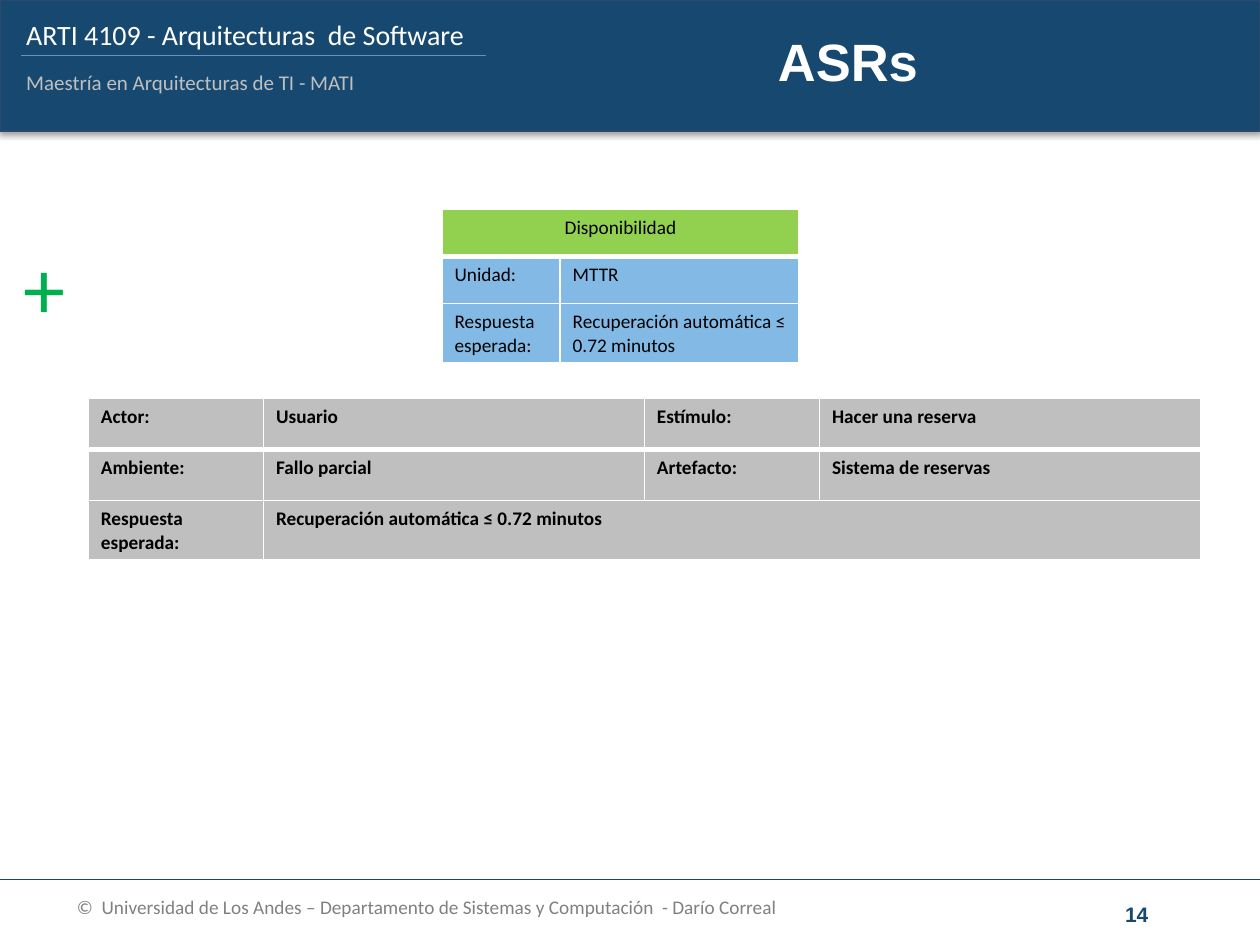
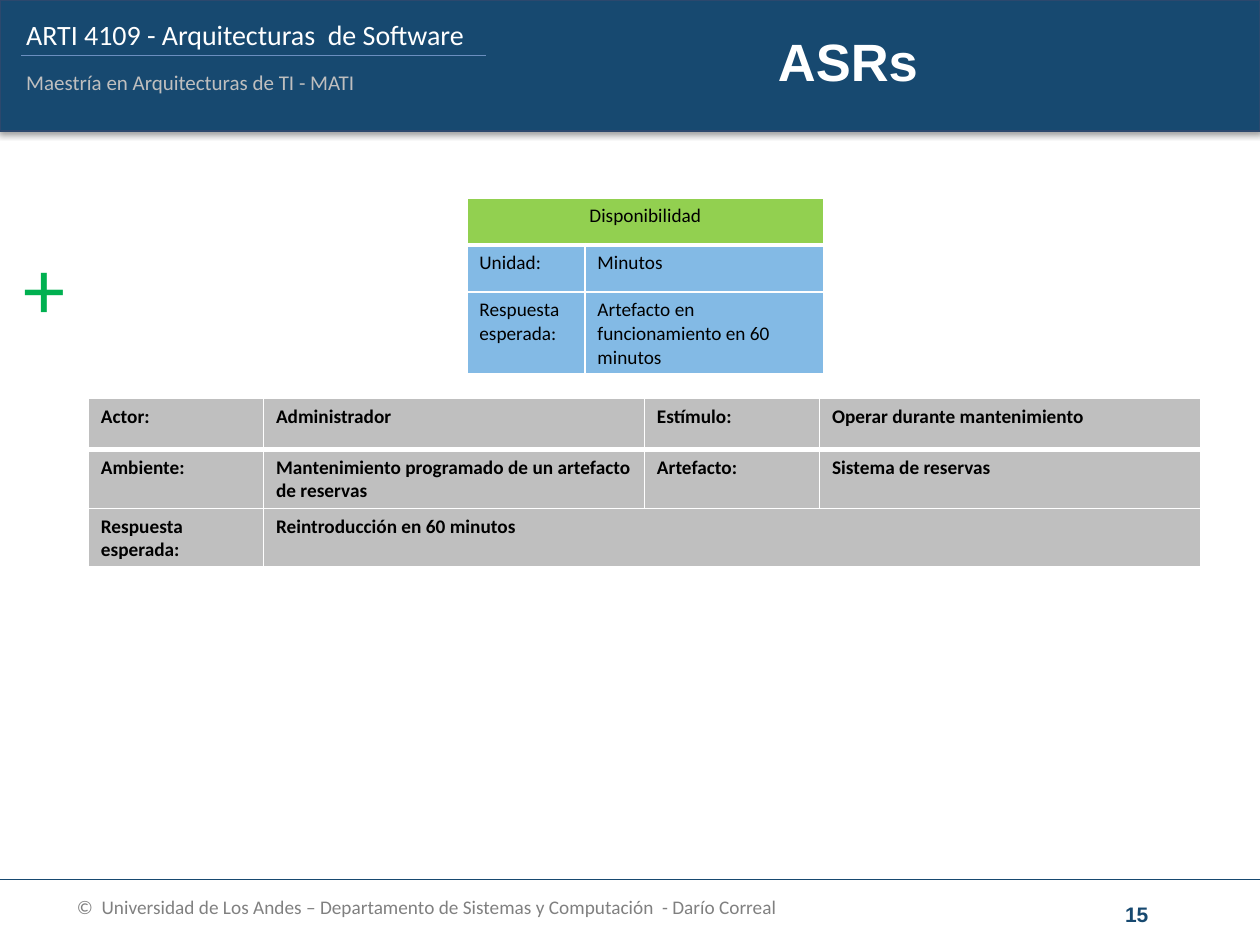
from lxml import etree
from pptx import Presentation
from pptx.dml.color import RGBColor
from pptx.enum import shapes, text
from pptx.oxml import parse_xml
from pptx.oxml.ns import nsdecls, qn
from pptx.util import Cm, Pt

NAVY, BAND_EDGE, RULE = "174970", "2C486D", "6B8FC0"
WHITE, BLACK, SILVER, GREY = "FFFFFF", "000000", "BFBFBF", "808080"
LIME, SKY, GREEN = "92D050", "83BAE5", "00B050"
WIDTH, HEIGHT = 25.4, 19.05

SHADOW = (
    f'<a:effectLst {nsdecls("a")}><a:outerShdw blurRad="39370" dist="22860" '
    'dir="5400000" rotWithShape="0"><a:srgbClr val="000000">'
    '<a:alpha val="35000"/></a:srgbClr></a:outerShdw></a:effectLst>'
)


def colour(code):
    return RGBColor.from_string(code)


def style_text(frame, size, code, font="Calibri", bold=False, align=None):
    for para in frame.paragraphs:
        para.alignment = align
        for span in para.runs:
            span.font.name = font
            span.font.size = Pt(size)
            span.font.bold = bold
            span.font.color.rgb = colour(code)


def add_text(page, area, words, size, code, wrap=True, middle=False, **style):
    box = page.shapes.add_textbox(*map(Cm, area))
    frame = box.text_frame
    frame.word_wrap = wrap
    if middle:
        frame.vertical_anchor = text.MSO_ANCHOR.MIDDLE
    frame.text = words
    style_text(frame, size, code, **style)


def add_rule(page, left, right, top, code, weight):
    rule = page.shapes.add_connector(
        shapes.MSO_CONNECTOR.STRAIGHT, Cm(left), Cm(top), Cm(right), Cm(top))
    rule.line.color.rgb = colour(code)
    rule.line.width = Pt(weight)
    etree.SubElement(rule.element.spPr, qn("a:effectLst"))


# Header band with course name and slide title
def add_header(page, title_words, left=0, top=0):
    band = page.shapes.add_shape(
        shapes.MSO_SHAPE.RECTANGLE, Cm(left), Cm(top), Cm(WIDTH), Cm(2.64))
    band.fill.solid()
    band.fill.fore_color.rgb = colour(NAVY)
    band.line.color.rgb = colour(BAND_EDGE)
    band.line.width = Pt(0.75)
    band.element.spPr.append(parse_xml(SHADOW))

    add_text(page, (left + 0.28, top + 0.23, 11.76, 0.94),
             "ARTI 4109 - Arquitecturas  de Software", 16, WHITE)
    add_text(page, (left + 0.28, top + 1.27, 7.24, 0.76),
             "Maestría en Arquitecturas de TI - MATI", 12, SILVER, wrap=False)
    add_rule(page, left + 0.43, left + 9.8, top + 1.12, RULE, 1)

    title = page.shapes.title
    title.left, title.top = Cm(left + 12.5), Cm(top + 0.53)
    title.width, title.height = Cm(9.19), Cm(1.4)
    title.text_frame.text = title_words
    title.text_frame.vertical_anchor = text.MSO_ANCHOR.MIDDLE
    style_text(title.text_frame, 30, WHITE, "Arial", True, text.PP_ALIGN.CENTER)
    # Bring the title in front of the band
    title.element.getparent().append(title.element)


# Footer with rule, slide number and copyright
def add_footer(page, number, left=0, top=17.73):
    add_rule(page, left, left + WIDTH, top, NAVY, 0.75)
    add_text(page, (left + 21.11, top + 0.18, 3.61, 1.02), str(number), 12, NAVY,
             middle=True, font="Arial", bold=True, align=text.PP_ALIGN.CENTER)
    add_text(page, (left + 1.3, top + 0.2, 19.2, 1.02),
             "©  Universidad de Los Andes – Departamento de Sistemas y "
             "Computación  - Darío Correal", 11, GREY)


def set_borders(cell, **weights):
    props = cell._tc.get_or_add_tcPr()
    for side in "LRTB":
        line = etree.SubElement(props, qn(f"a:ln{side}"), w=str(Pt(weights.get(side, 1))))
        fill = etree.SubElement(line, qn("a:solidFill"))
        etree.SubElement(fill, qn("a:srgbClr"), val=WHITE)


def add_grid(page, left, top, widths, row_height, rows, fills, merge, bold=False):
    """Draw a table; merge names the row and first column joined to the right edge."""
    frame = page.shapes.add_table(
        len(rows), len(widths), Cm(left), Cm(top),
        Cm(sum(widths)), Cm(row_height * len(rows)))
    grid = frame.table
    grid.first_row = grid.horz_banding = False
    for column, width in zip(grid.columns, widths):
        column.width = Cm(width)
    for r, (words, fill) in enumerate(zip(rows, fills)):
        grid.rows[r].height = Cm(row_height)
        for c in range(len(widths)):
            cell = grid.cell(r, c)
            set_borders(cell, T=3 if r == 1 else 1, B=3 if r == 0 else 1)
            cell.fill.solid()
            cell.fill.fore_color.rgb = colour(fill)
            if c < len(words):
                cell.text_frame.text = words[c]
                style_text(cell.text_frame, 11, BLACK, bold=bold)
    row, column = merge
    grid.cell(row, column).merge(grid.cell(row, len(widths) - 1))
    return grid


# Quality attribute and its measure
def add_quality(page, left, top, unit, response):
    rows = [["Disponibilidad"], ["Unidad:", unit], ["Respuesta esperada:", response]]
    grid = add_grid(page, left, top, [2.38, 4.82], 0.95, rows,
                    [LIME, SKY, SKY], merge=(0, 0))
    grid.cell(0, 0).text_frame.paragraphs[0].alignment = text.PP_ALIGN.CENTER


# Scenario details
def add_scenario(page, left, top, actor, stimulus, setting, response):
    rows = [
        ["Actor:", actor, "Estímulo:", stimulus],
        ["Ambiente:", setting, "Artefacto:", "Sistema de reservas"],
        ["Respuesta esperada:", response],
    ]
    add_grid(page, left, top, [3.53, 7.68] * 2, 1.03, rows,
             [SILVER] * 3, merge=(2, 1), bold=True)


def add_asr_page(deck, number, quality_at, quality, scenario):
    page = deck.slides.add_slide(deck.slide_layouts[5])
    add_header(page, "ASRs")
    add_footer(page, number)
    add_scenario(page, 1.78, 8.03, *scenario)
    add_quality(page, *quality_at, *quality)
    add_text(page, (0.23, 4.62, 1.37, 2.31), "+", 48, GREEN, wrap=False)


def main():
    deck = Presentation()
    deck.slide_width, deck.slide_height = Cm(WIDTH), Cm(HEIGHT)
    recovery = "Recuperación automática ≤ 0.72 minutos"
    add_asr_page(
        deck, 14, (8.91, 4.22), ("MTTR", recovery),
        ("Usuario", "Hacer una reserva", "Fallo parcial", recovery))
    add_asr_page(
        deck, 15, (9.41, 3.99),
        ("Minutos", "Artefacto en funcionamiento en 60 minutos"),
        ("Administrador", "Operar durante mantenimiento",
         "Mantenimiento programado de un artefacto de reservas",
         "Reintroducción en 60 minutos"))
    deck.save("out.pptx")


if __name__ == "__main__":
    main()
